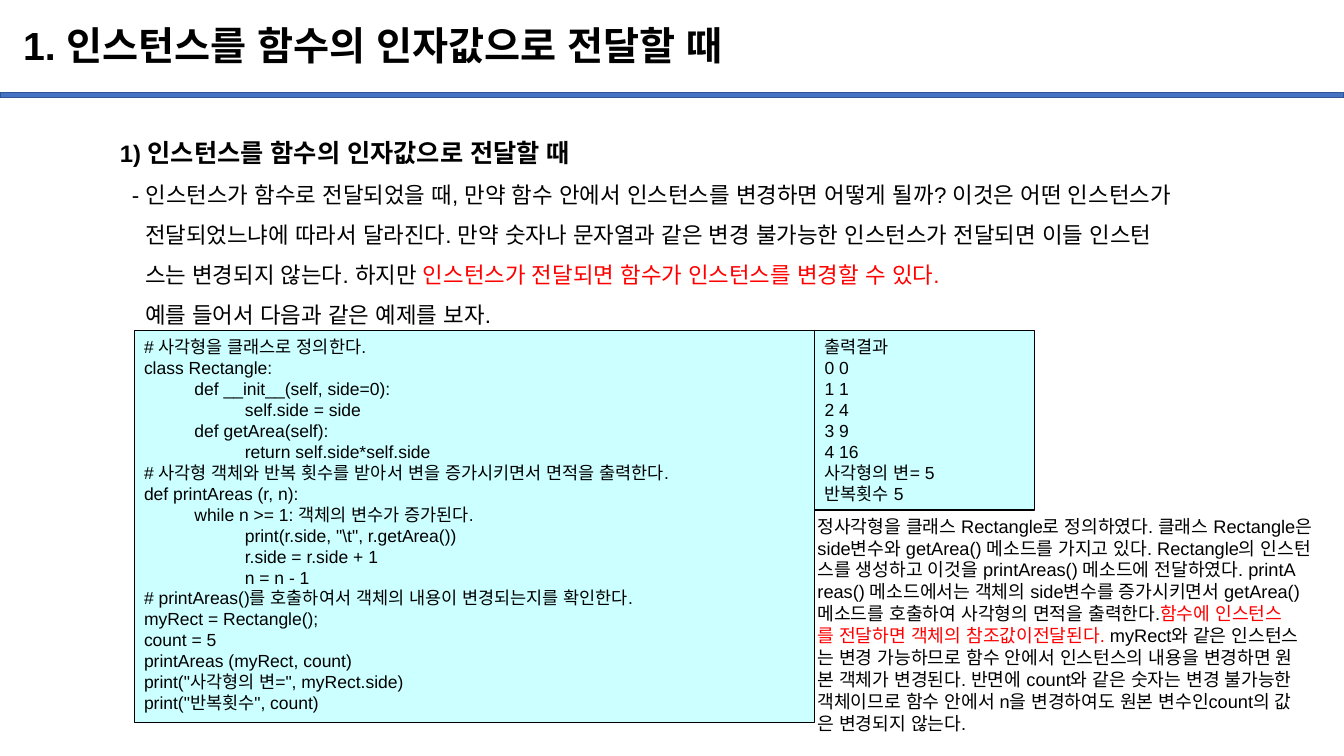
import pptx
import pptx.dml.color
import pptx.enum.lang
import pptx.enum.shapes
import pptx.enum.text
import pptx.util

Inches = pptx.util.Inches
BLACK, RED, CYAN = "000000", "FF0000", "CCFFFF"
HEADING = "인스턴스를 함수의 인자값으로 전달할 때"

# Each paragraph: (indent in inches, [(text, colour), ...])
INTRO = [
    (0.12, [("- 인스턴스가 함수로 전달되었을 때, 만약 함수 안에서 인스턴스를 변경하면 어떻게 될까? 이것은 어떤 인스턴스가", BLACK)]),
    (0.25, [("전달되었느냐에 따라서 달라진다. 만약 숫자나 문자열과 같은 변경 불가능한 인스턴스가 전달되면 이들 인스턴", BLACK)]),
    (0.25, [("스는 변경되지 않는다. 하지만 ", BLACK),
            ("인스턴스가 전달되면 함수가 인스턴스를 변경할 수 있다.", RED)]),
    (0.25, [("예를 들어서 다음과 같은 예제를 보자.", BLACK)]),
]

# Each line: (nesting level, text)
CODE = [
    (0, "# 사각형을 클래스로 정의한다."),
    (0, "class Rectangle:"),
    (1, "def __init__(self, side=0):"),
    (2, "self.side = side"),
    (1, "def getArea(self):"),
    (2, "return self.side*self.side"),
    (0, "# 사각형 객체와 반복 횟수를 받아서 변을 증가시키면서 면적을 출력한다."),
    (0, "def printAreas (r, n):"),
    (1, "while n >= 1: 객체의 변수가 증가된다."),
    (2, 'print(r.side, "\\t", r.getArea())'),
    (2, "r.side = r.side + 1"),
    (2, "n = n - 1"),
    (0, "# printAreas()를 호출하여서 객체의 내용이 변경되는지를 확인한다."),
    (0, "myRect = Rectangle();"),
    (0, "count = 5"),
    (0, "printAreas (myRect, count)"),
    (0, 'print("사각형의 변=", myRect.side)'),
    (0, 'print("반복횟수", count)'),
]

OUTPUT = [(0, line) for line in (
    "출력결과", "0 0", "1 1", "2 4", "3 9", "4 16", "사각형의 변= 5", "반복횟수 5")]

EXPLANATION = [
    (0, [("정사각형을 클래스 Rectangle로 정의하였다. 클래스 Rectangle은 side변수와 getArea() 메소드를 가지고 있다. Rectangle의 인스턴", BLACK)]),
    (0, [("스를 생성하고 이것을 printAreas() 메소드에 전달하였다. printA", BLACK)]),
    (0, [("reas() 메소드에서는 객체의 side변수를 증가시키면서 getArea() 메소드를 호출하여 사각형의 면적을 출력한다.", BLACK),
         ("함수에 인스턴스", RED)]),
    (0, [("를 전달하면 객체의 참조값이전달된다. ", RED), ("myRect와 같은 인스턴스", BLACK)]),
    (0, [("는 변경 가능하므로 함수 안에서 인스턴스의 내용을 변경하면 원", BLACK)]),
    (0, [("본 객체가 변경된다. 반면에 count와 같은 숫자는 변경 불가능한 객체이므로 함수 안에서 n을 변경하여도 원본 변수인count의 값", BLACK)]),
    (0, [("은 변경되지 않는다.", BLACK)]),
]


def rgb(color):
    return pptx.dml.color.RGBColor.from_string(color)


def format_run(r, size, color=BLACK, bold=False):
    r.font.name = "Arial"
    r.font.size = pptx.util.Pt(size)
    r.font.bold = bold
    r.font.color.rgb = rgb(color)
    r.font.language_id = pptx.enum.lang.MSO_LANGUAGE_ID.KOREAN


def add_run(p, text, size, color=BLACK, bold=False):
    r = p.add_run()
    r.text = text
    format_run(r, size, color, bold)


def fill_text(tf, paragraphs, size, spacing=1.0):
    """Write the paragraphs into the frame, after any text already there."""
    for indent, runs in paragraphs:
        p = tf.add_paragraph() if tf.text else tf.paragraphs[0]
        p.alignment = pptx.enum.text.PP_ALIGN.LEFT
        p.line_spacing = spacing
        if indent:
            p._p.get_or_add_pPr().set("marL", str(Inches(indent)))
        for text, color in runs:
            add_run(p, text, size, color)


def add_rect(slide, box, fill, line, width):
    sp = slide.shapes.add_shape(
        pptx.enum.shapes.MSO_SHAPE.RECTANGLE, *map(Inches, box))
    sp.shadow.inherit = False
    sp.fill.solid()
    sp.fill.fore_color.rgb = rgb(fill)
    sp.line.color.rgb = rgb(line)
    sp.line.width = pptx.util.Pt(width)
    return sp


def add_textbox(slide, box):
    tf = slide.shapes.add_textbox(*map(Inches, box)).text_frame
    tf.word_wrap = True
    return tf


def add_header(slide, box):
    """Title with a full-width bar below it."""
    left, top, width, height = box
    title = slide.shapes.title
    title.left, title.top = Inches(left + 0.13), Inches(top + 0.1)
    title.width, title.height = Inches(11.5), Inches(0.74)
    tf = title.text_frame
    tf.text = "1. " + HEADING
    tf.vertical_anchor = pptx.enum.text.MSO_ANCHOR.MIDDLE
    p = tf.paragraphs[0]
    p.alignment = pptx.enum.text.PP_ALIGN.LEFT
    p.line_spacing = 0.9
    format_run(p.runs[0], 28, bold=True)
    add_rect(slide, (left, top + height - 0.05, width, 0.05), "4472C4", "325491", 1)


def add_intro(slide, box):
    tf = add_textbox(slide, box)
    p = tf.paragraphs[0]
    p.line_spacing = 1.5
    add_run(p, "1) ", 17, bold=True)
    add_run(p, HEADING, 18, bold=True)
    fill_text(tf, INTRO, 16, 1.5)


def add_listing(slide, box, lines):
    """Bordered panel of code, half an inch per nesting level."""
    tf = add_rect(slide, box, CYAN, BLACK, 0.75).text_frame
    tf.word_wrap = True
    tf.vertical_anchor = pptx.enum.text.MSO_ANCHOR.TOP
    fill_text(tf, [(level * 0.5, [(text, BLACK)]) for level, text in lines], 12.5)


def add_explanation(slide, box):
    fill_text(add_textbox(slide, box), EXPLANATION, 13)


def main():
    prs = pptx.Presentation()
    prs.slide_width, prs.slide_height = Inches(13.33), Inches(7.5)
    slide = prs.slides.add_slide(prs.slide_layouts[5])
    add_header(slide, (0, 0, 13.33, 0.97))
    add_intro(slide, (1.09, 1.16, 11.72, 2.12))
    add_listing(slide, (1.33, 3.28, 6.75, 3.89), CODE)
    add_listing(slide, (8.08, 3.28, 2.18, 1.78), OUTPUT)
    add_explanation(slide, (8.01, 5.06, 5.43, 2.29))
    prs.save("out.pptx")


if __name__ == "__main__":
    main()
